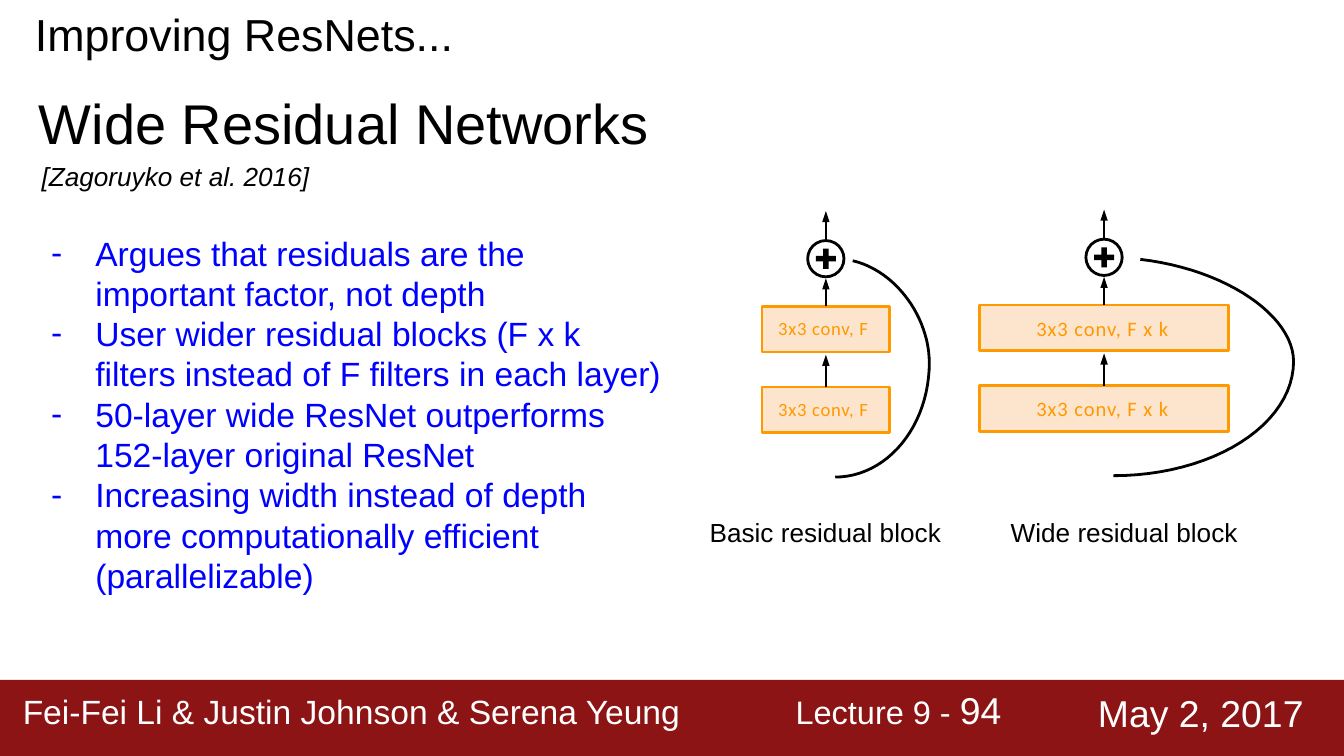
from dataclasses import dataclass
from math import cos, pi, sin

from lxml import etree
from pptx import Presentation
from pptx.dml.color import RGBColor
from pptx.enum.shapes import MSO_CONNECTOR as Connector, MSO_SHAPE as Shape
from pptx.enum.text import MSO_ANCHOR as Anchor, PP_ALIGN as Align
from pptx.oxml.ns import qn
from pptx.util import Inches, Pt


@dataclass(frozen=True)
class Theme:
    font: str = "Arial"
    label_font: str = "Calibri"
    black: str = "000000"
    white: str = "FFFFFF"
    blue: str = "0000FF"
    orange: str = "FF9900"
    peach: str = "FCE4CD"
    maroon: str = "8C1414"
    title: float = 24
    heading: float = 30
    body: float = 18
    caption: float = 14
    lecture: float = 17.4
    page: float = 20
    thick: float = 1.5
    thin: float = 0.75


THEME = Theme()


def color(value):
    return RGBColor.from_string(value)


def style_shape(shape, fill=None, line=None):
    shape.shadow.inherit = False
    if fill:
        shape.fill.solid()
        shape.fill.fore_color.rgb = color(fill)
    else:
        shape.fill.background()
    if line:
        shape.line.color.rgb = color(line)
        shape.line.width = Pt(THEME.thick)
    else:
        shape.line.fill.background()


def add_shape(slide, kind, box, fill=None, line=None):
    shape = slide.shapes.add_shape(kind, *map(Inches, box))
    style_shape(shape, fill, line)
    return shape


def set_indent(paragraph, indent, hanging=0, bullet=None):
    properties = paragraph._p.get_or_add_pPr()
    properties.set("marL", str(Inches(indent)))
    properties.set("indent", str(Inches(-hanging)))
    if bullet:
        etree.SubElement(properties, qn("a:buFont")).set("typeface", THEME.font)
        etree.SubElement(properties, qn("a:buChar")).set("char", bullet)


def write(frame, lines, size, fill=THEME.black, font=THEME.font, top=0.01,
          indent=0.01, hanging=0, bullet=None, line_spacing=None, tracking=0):
    """Write each line as a paragraph; a line is a text or a list of (text, size) runs."""
    frame.word_wrap = True
    frame.vertical_anchor = Anchor.TOP
    frame.margin_left = frame.margin_right = frame.margin_bottom = 0
    frame.margin_top = Inches(top)
    for index, line in enumerate(lines):
        paragraph = frame.add_paragraph() if index else frame.paragraphs[0]
        set_indent(paragraph, indent, hanging, bullet)
        paragraph.alignment = Align.LEFT
        if line_spacing:
            paragraph.line_spacing = line_spacing
        for text, run_size in [(line, size)] if isinstance(line, str) else line:
            run = paragraph.add_run()
            run.text = text
            run.font.name = font
            run.font.size = Pt(run_size)
            run.font.color.rgb = color(fill)
            if tracking:
                run._r.get_or_add_rPr().set("spc", str(round(tracking * 100)))
    return frame


def add_text(slide, box, lines, size, **formatting):
    frame = slide.shapes.add_textbox(*map(Inches, box)).text_frame
    return write(frame, lines, size, **formatting)


def add_up_arrow(slide, x, tail, tip):
    arrow = slide.shapes.add_connector(
        Connector.STRAIGHT, Inches(x), Inches(tail), Inches(x), Inches(tip))
    arrow.line.color.rgb = color(THEME.black)
    arrow.line.width = Pt(THEME.thin)
    head = etree.SubElement(arrow.line._get_or_add_ln(), qn("a:tailEnd"))
    for name, value in (("type", "triangle"), ("w", "sm"), ("len", "med")):
        head.set(name, value)
    etree.SubElement(arrow._element.spPr, qn("a:effectLst"))


def bezier(points, t):
    weights = ((1 - t) ** 3, 3 * t * (1 - t) ** 2, 3 * t * t * (1 - t), t ** 3)
    return tuple(sum(w * p[axis] for w, p in zip(weights, points)) for axis in (0, 1))


def add_skip_curve(slide, start, apex_x, apex_y, end, steps=24):
    """Run a quarter ellipse from start to the apex, then a Bezier curve to end."""
    width, height = apex_x - start[0], start[1] - apex_y
    controls = [(apex_x, apex_y),
                (apex_x, apex_y - 0.44 * (apex_y - end[1])),
                (end[0] + 0.57 * (apex_x - end[0]), end[1] + 0.1 * (apex_y - end[1])),
                end]
    angles = [pi / 2 * i / steps for i in range(steps + 1)]
    points = [(start[0] + width * sin(a), apex_y + height * cos(a)) for a in angles]
    points += [bezier(controls, i / steps) for i in range(1, steps + 1)]
    points = [(Inches(x), Inches(y)) for x, y in points]
    builder = slide.shapes.build_freeform(*points[0])
    builder.add_line_segments(points[1:], close=False)
    style_shape(builder.convert_to_shape(), line=THEME.black)


def add_plus(slide, x, y, size=0.15, bar=0.04):
    plus = add_shape(slide, Shape.CROSS, (x - size / 2, y - size / 2, size, size),
                     fill=THEME.black)
    plus.adjustments[0] = (size - bar) / 2 / size


def residual_block(slide, box, label, label_size, indent, tracking, reach, skip_end):
    """Draw two conv layers, a sum node and a skip curve reaching right of the axis."""
    left, top, width, height = box
    axis = left + width / 2
    layer_height, node = 0.34, 0.27
    for layer_top in (top + height - layer_height, top + 0.71):
        layer = add_shape(slide, Shape.RECTANGLE, (left, layer_top, width, layer_height),
                          THEME.peach, THEME.orange)
        write(layer.text_frame, [label], label_size, fill=THEME.orange,
              font=THEME.label_font, top=0.08, indent=indent, tracking=tracking)
    for tail, tip in ((1.31, 1.07), (0.71, 0.5), (0.21, 0)):
        add_up_arrow(slide, axis, top + tail, top + tip)
    add_skip_curve(slide, (axis + 0.07, top + 1.98), axis + reach, top + 1.13,
                   (axis + skip_end, top + 0.37))
    add_shape(slide, Shape.OVAL, (axis - node / 2, top + 0.22, node, node),
              line=THEME.black)
    add_plus(slide, axis, top + 0.22 + node / 2)


def heading(slide, box):
    left, top, width, height = box
    add_text(slide, (left, top, 3.14, 0.43), ["Improving ResNets..."], THEME.title)
    frame = add_text(slide, (left + 0.03, top + 0.52, width, height - 0.52),
                     ["Wide Residual Networks",
                      [("[Zagoruyko et al. 2016]", THEME.caption)]],
                     THEME.heading, top=0.1)
    citation = frame.paragraphs[1]
    citation.space_before = Pt(2.5)
    set_indent(citation, 0.03)
    citation.runs[0].font.italic = True


def arguments(slide, box):
    add_text(slide, box, [
        "Argues that residuals are the important factor, not depth",
        "User wider residual blocks (F x k filters instead of F filters in each layer)",
        "50-layer wide ResNet outperforms 152-layer original ResNet",
        "Increasing width instead of depth more computationally efficient (parallelizable)",
    ], THEME.body, fill=THEME.blue, indent=0.35, hanging=0.33, bullet="-",
        line_spacing=1.0, top=0.02)


def footer(slide, box):
    left, top, width, height = box
    add_shape(slide, Shape.RECTANGLE, box, fill=THEME.maroon)
    lecture = [("Lecture 9 - ", THEME.lecture), ("94", THEME.page)]
    for x, text_width, line, size, spacing in (
            (0.16, 4.94, "Fei-Fei Li & Justin Johnson & Serena Yeung", THEME.body, 20.9),
            (5.91, 1.77, lecture, THEME.page, 21.6),
            (8.16, 1.56, "May 2, 2017", THEME.page, 23.1)):
        add_text(slide, (left + x, top + 0.09, text_width, 0.34), [line], size,
                 fill=THEME.white, top=0, line_spacing=Pt(spacing))


def main():
    presentation = Presentation()
    presentation.slide_width = Inches(10)
    presentation.slide_height = Inches(10 * 9 / 16)
    slide = presentation.slides.add_slide(presentation.slide_layouts[6])
    footer(slide, (0, 5.06, 10, 0.57))
    heading(slide, (0.25, 0.04, 4.56, 1.41))
    arguments(slide, (0.36, 1.71, 4.57, 2.74))
    residual_block(slide, (5.67, 1.57, 0.95, 1.65), "3x3 conv, F", 10,
                   indent=0.12, tracking=0.4, reach=0.77, skip_end=0.2)
    residual_block(slide, (7.29, 1.56, 1.85, 1.65), "3x3 conv, F x k", 11,
                   indent=0.42, tracking=0.5, reach=1.41, skip_end=0.27)
    for left, text in ((5.27, "Basic residual block"), (7.51, "Wide residual block")):
        add_text(slide, (left, 3.83, 1.75, 0.26), [text], THEME.caption)
    presentation.save("out.pptx")


if __name__ == "__main__":
    main()
